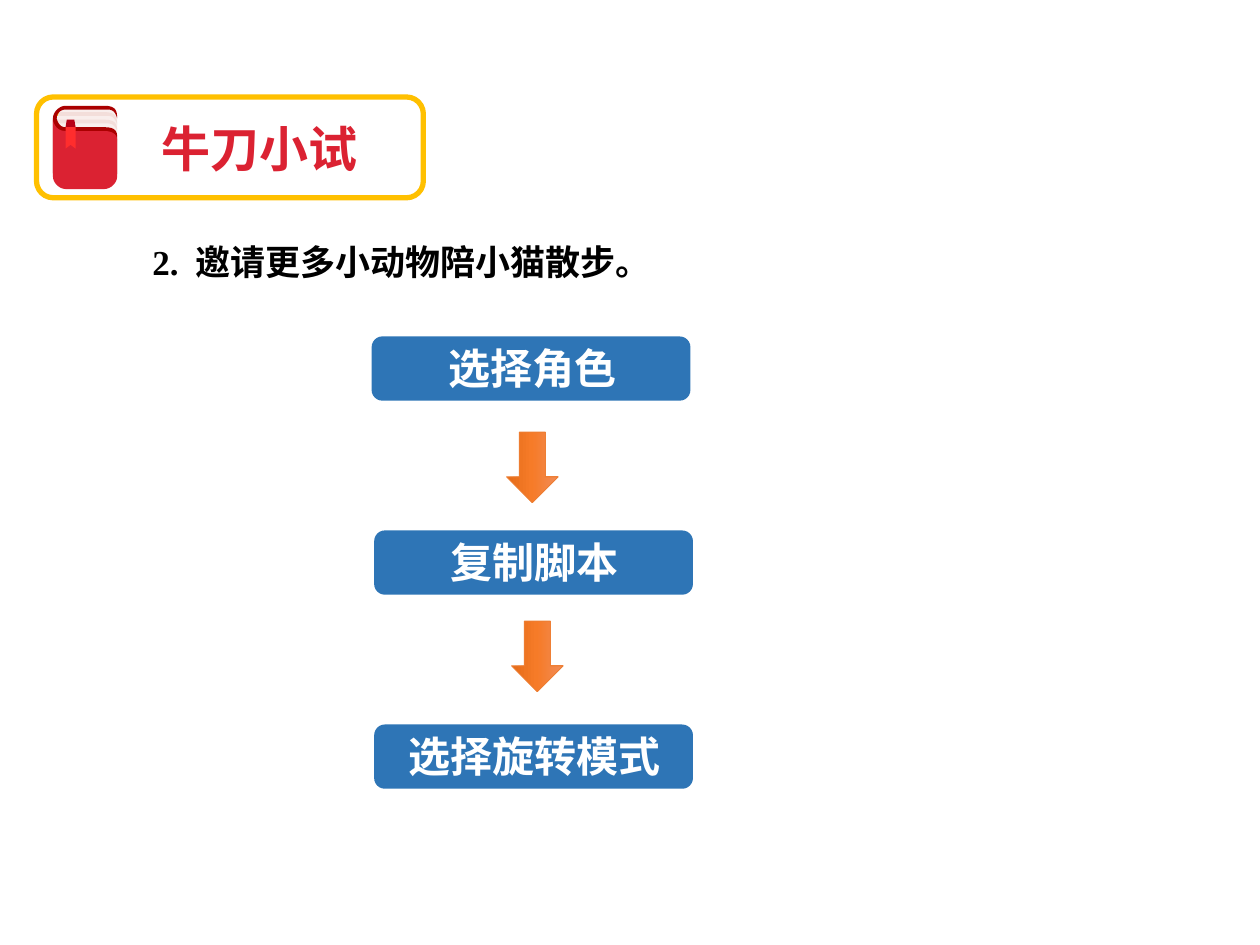
from lxml.etree import SubElement
from pptx import Presentation
from pptx.dml.color import RGBColor
from pptx.enum.shapes import MSO_SHAPE
from pptx.enum.text import MSO_ANCHOR, MSO_AUTO_SIZE, PP_ALIGN
from pptx.oxml import parse_xml
from pptx.oxml.ns import nsdecls, qn
from pptx.util import Inches, Pt

CJK = "Noto Sans CJK SC"
TITLE = "牛刀小试"
TASK = "2.\t邀请更多小动物陪小猫散步。"
STEPS = [("选择角色", 2.95, 2.67), ("复制脚本", 2.97, 4.21), ("选择旋转模式", 2.97, 5.75)]
ARROWS = [(4.02, 3.43), (4.06, 4.93)]
STOPS = [(0, "E56C19"), (50, "F67B28"), (100, "F18C57")]

# Book parts: two numbers make a line, six make a Bezier curve
BOOK = [
    ("F9EEEC", [(0.93, 0.94), (0.92, 0.9, 0.9, 0.87, 0.86, 0.87), (0.52, 0.87),
                (0.48, 0.87, 0.45, 0.9, 0.45, 0.94), (0.46, 0.98, 0.48, 1.01, 0.52, 1.01),
                (0.59, 1.01), (0.59, 1.12), (0.93, 1.12)]),
    ("F9C000", [(0.47, 0.89), (0.45, 0.89), (0.45, 0.92), (0.46, 0.92)]),
    ("F3DEDA", [(0.83, 0.89), (0.47, 0.89), (0.46, 0.92), (0.86, 0.92),
                (0.9, 0.92, 0.92, 0.95, 0.93, 0.99), (0.93, 0.93, 0.92, 0.89, 0.83, 0.89)]),
    ("F9C000", [(0.45, 0.95), (0.45, 0.98), (0.46, 0.98)]),
    ("F3DEDA", [(0.83, 0.95), (0.45, 0.95), (0.46, 0.98), (0.86, 0.98),
                (0.9, 0.98, 0.92, 1.01, 0.93, 1.04), (0.93, 0.99, 0.92, 0.95, 0.83, 0.95)]),
    ("AA0000", [(0.83, 1.01), (0.52, 1.01), (0.48, 1.01, 0.46, 0.98, 0.45, 0.94),
                (0.45, 0.9, 0.48, 0.87, 0.52, 0.87), (0.86, 0.87),
                (0.9, 0.87, 0.92, 0.9, 0.93, 0.94), (0.93, 0.88, 0.92, 0.84, 0.83, 0.84),
                (0.52, 0.84), (0.47, 0.84, 0.42, 0.89, 0.42, 0.94), (0.42, 1.37),
                (0.42, 1.43, 0.47, 1.47, 0.52, 1.47), (0.83, 1.47),
                (0.88, 1.47, 0.93, 1.43, 0.93, 1.37), (0.93, 1.08),
                (0.93, 1.02, 0.88, 1.01, 0.83, 1.01)]),
    ("DB2232", [(0.93, 1.4), (0.93, 1.45, 0.88, 1.5, 0.83, 1.5), (0.52, 1.5),
                (0.47, 1.5, 0.42, 1.45, 0.42, 1.4), (0.42, 0.95),
                (0.42, 0.95, 0.43, 1.04, 0.52, 1.04), (0.83, 1.04),
                (0.88, 1.04, 0.93, 1.06, 0.93, 1.11)]),
    ("B70016", [(0.6, 1.01), (0.59, 0.95), (0.53, 0.95), (0.52, 1.01)]),
    ("FF2D2D", [(0.52, 1.01), (0.52, 1.18), (0.56, 1.15), (0.6, 1.18), (0.6, 1.01)]),
]


def color(code):
    return RGBColor.from_string(code)


def paint(shape, fill=None, line=None, width=0):
    shape.shadow.inherit = False
    if fill:
        shape.fill.solid()
        shape.fill.fore_color.rgb = color(fill)
    else:
        shape.fill.background()
    if line:
        shape.line.color.rgb = color(line)
        shape.line.width = Pt(width)
    else:
        shape.line.fill.background()


def write(shape, text, size, face, code, frame, para):
    """Fill a shape with one bold paragraph, formatted from two dicts."""
    box = shape.text_frame
    box.text = text
    part = box.paragraphs[0]
    for item, values in ((box, {"auto_size": MSO_AUTO_SIZE.NONE, **frame}), (part, para)):
        for name, value in values.items():
            setattr(item, name, value)
    for run in part.runs:
        for name, value in {"size": Pt(size), "bold": True, "name": face}.items():
            setattr(run.font, name, value)
        run.font.color.rgb = color(code)
        SubElement(run.font._element, qn("a:ea"), typeface=CJK)
    return part


def place(shape, *box):
    for name, value in zip(("left", "top", "width", "height"), box):
        setattr(shape, name, Inches(value))


def add(slide, kind, *box):
    return slide.shapes.add_shape(kind, *map(Inches, box))


def trace(steps, count=8):
    """Turn lines and curves into a list of points, in EMU."""
    points = [steps[0]]
    for step in steps[1:]:
        if len(step) == 2:
            points.append(step)
            continue
        nodes = [points[-1], step[:2], step[2:4], step[4:]]
        for i in range(1, count + 1):
            t = i / count
            parts = ((1 - t) ** 3, 3 * t * (1 - t) ** 2, 3 * t * t * (1 - t), t ** 3)
            points.append(tuple(sum(w * n[k] for w, n in zip(parts, nodes)) for k in (0, 1)))
    return [(Inches(x), Inches(y)) for x, y in points]


def draw_book(slide):
    for fill, steps in BOOK:
        first, *rest = trace(steps)
        pen = slide.shapes.build_freeform(*first)
        pen.add_line_segments(rest)
        paint(pen.convert_to_shape(), fill)


def shade(shape):
    """Give a shape the left-to-right orange gradient."""
    stops = "".join(f'<a:gs pos="{at * 1000}"><a:srgbClr val="{code}"/></a:gs>'
                    for at, code in STOPS)
    grad = parse_xml(f'<a:gradFill {nsdecls("a")}><a:gsLst>{stops}</a:gsLst>'
                     '<a:lin ang="0" scaled="0"/></a:gradFill>')
    old = shape._element.spPr.find(qn("a:noFill"))
    old.getparent().replace(old, grad)


def main():
    deck = Presentation()
    deck.slide_width, deck.slide_height = Inches(10), Inches(7.5)
    slide = deck.slides.add_slide(deck.slide_layouts[1])
    title, body = slide.placeholders

    frame = add(slide, MSO_SHAPE.ROUNDED_RECTANGLE, 0.29, 0.77, 3.07, 0.8)
    paint(frame, line="FFC000", width=3)
    draw_book(slide)

    place(title, 1.18, 0.89, 1.77, 0.57)
    write(title, TITLE, 28, CJK, "DB2232",
          {"word_wrap": False, "vertical_anchor": MSO_ANCHOR.MIDDLE},
          {"alignment": PP_ALIGN.LEFT})

    place(body, 1.11, 1.69, 5.6, 1.11)
    part = write(body, TASK, 20, "Times New Roman", "000000", {"word_wrap": True},
                 {"line_spacing": 1.5, "space_before": Pt(0)})
    props = part._p.get_or_add_pPr()
    props.set("marL", str(Inches(0.34)))
    props.set("indent", str(-Inches(0.34)))
    SubElement(props, qn("a:buNone"))

    for text, left, top in STEPS:
        step = add(slide, MSO_SHAPE.ROUNDED_RECTANGLE, left, top, 2.53, 0.51)
        paint(step, "2E75B6")
        write(step, text, 24, "DejaVu Sans", "FFFFFF",
              {"word_wrap": True, "vertical_anchor": MSO_ANCHOR.MIDDLE,
               "margin_left": Inches(0.12), "margin_bottom": Inches(0.06)},
              {"alignment": PP_ALIGN.CENTER})

    for left, top in ARROWS:
        arrow = add(slide, MSO_SHAPE.DOWN_ARROW, left, top, 0.41, 0.56)
        paint(arrow, line="ED7D31", width=0.5)
        shade(arrow)

    deck.save("out.pptx")


if __name__ == "__main__":
    main()
